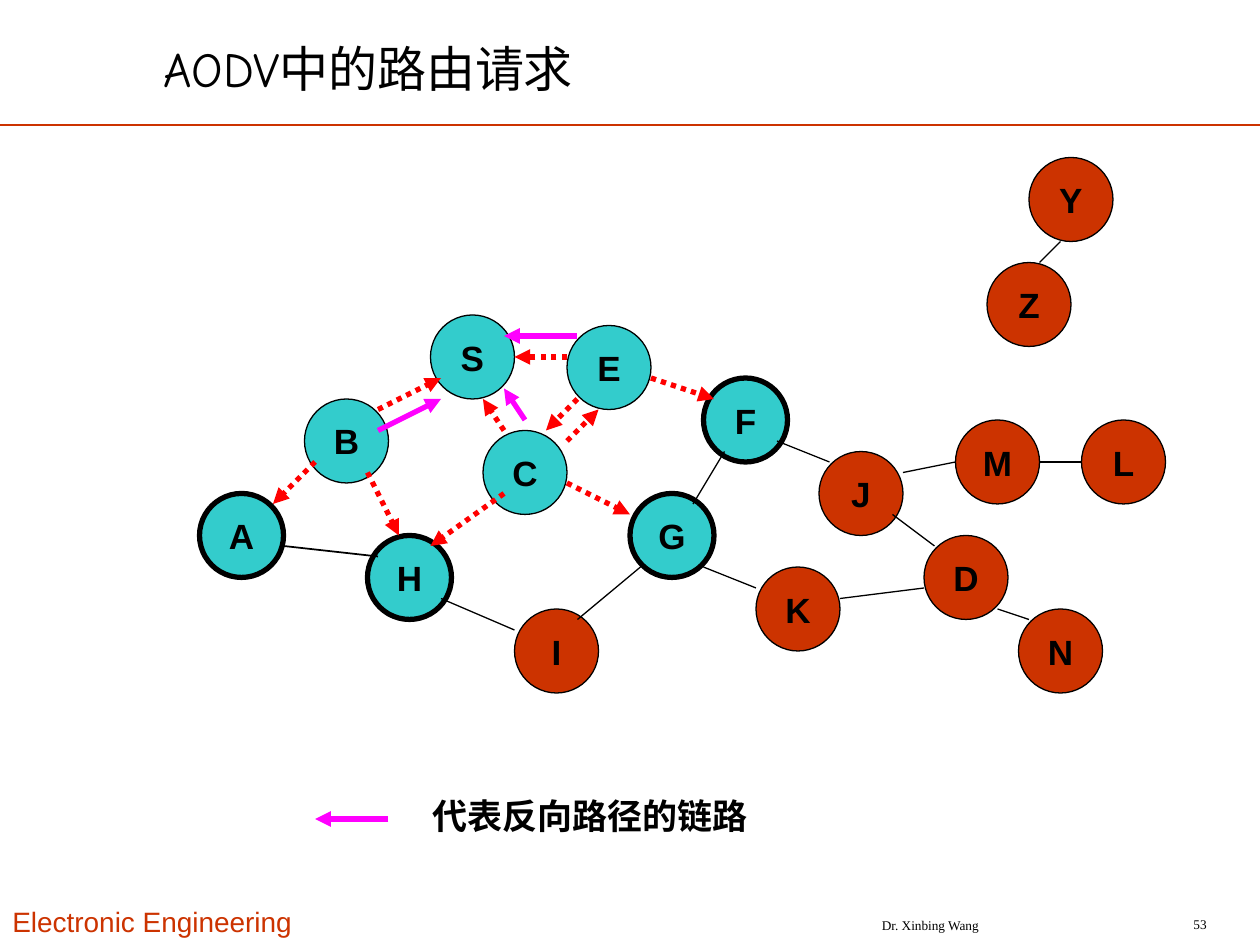
from dataclasses import dataclass

from lxml import etree
from pptx import Presentation
from pptx.dml.color import RGBColor
from pptx.enum.dml import MSO_LINE
from pptx.enum.shapes import MSO_CONNECTOR, MSO_SHAPE
from pptx.enum.text import MSO_ANCHOR, PP_ALIGN
from pptx.oxml.ns import qn
from pptx.util import Emu, Pt

EMU_PER_PX = 7620  # 120 px to the inch
BLANK_LAYOUT = 6
STRAIGHT = MSO_CONNECTOR.STRAIGHT
ELLIPSE = MSO_SHAPE.OVAL
DOTTED = MSO_LINE.ROUND_DOT
TOP, MIDDLE = MSO_ANCHOR.TOP, MSO_ANCHOR.MIDDLE
LEFT, CENTER, RIGHT = PP_ALIGN.LEFT, PP_ALIGN.CENTER, PP_ALIGN.RIGHT


@dataclass(frozen=True)
class Theme:
    text: str = "000000"
    accent: str = "CC3300"
    reached: str = "33CCCC"
    request: str = "FF0000"
    reverse: str = "FF00FF"
    title_font: str = "Comic Neue"
    body_font: str = "Arial"
    footer_font: str = "Times New Roman"
    title_size: float = 28
    label_size: float = 20
    brand_size: float = 16
    footer_size: float = 7.6
    thin: float = 0.75
    rule: float = 1.5
    thick: float = 3


def px(length):
    return Emu(length * EMU_PER_PX)


def rgb(color):
    return RGBColor.from_string(color)


class NetworkSlide:
    NODE_SIZE = 80

    def __init__(self, deck, theme):
        self.theme = theme
        self.page = deck.slides.add_slide(deck.slide_layouts[BLANK_LAYOUT])

    def label(self, shape, text, size, font, bold=False, align=LEFT,
              anchor=MIDDLE, wrap=True):
        frame = shape.text_frame
        frame.word_wrap = wrap
        frame.vertical_anchor = anchor
        para = frame.paragraphs[0]
        para.text = text
        para.alignment = align
        para.font.size = Pt(size)
        para.font.name = font
        para.font.bold = bold
        para.font.color.rgb = rgb(self.theme.text)
        return para

    def text(self, bounds, text, size, font, **style):
        box = self.page.shapes.add_textbox(*map(px, bounds))
        return self.label(box, text, size, font, **style)

    def node(self, name, left, top, fill, outline):
        size = px(self.NODE_SIZE)
        circle = self.page.shapes.add_shape(ELLIPSE, px(left), px(top), size, size)
        circle.shadow.inherit = False
        circle.fill.solid()
        circle.fill.fore_color.rgb = rgb(fill)
        circle.line.color.rgb = rgb(self.theme.text)
        circle.line.width = Pt(outline)
        self.label(circle, name, self.theme.label_size, self.theme.body_font,
                   bold=True, align=CENTER, wrap=False)

    def line(self, ends, color, width):
        link = self.page.shapes.add_connector(STRAIGHT, *map(px, ends))
        link.line.color.rgb = rgb(color)
        link.line.width = Pt(width)
        etree.SubElement(link._element.spPr, qn("a:effectLst"))
        return link

    def arrow(self, ends, color, dotted=False):
        link = self.line(ends, color, self.theme.thick)
        if dotted:
            link.line.dash_style = DOTTED
        outline = link._element.spPr.find(qn("a:ln"))
        etree.SubElement(outline, qn("a:tailEnd"), type="triangle")


# Node positions: left, top
REACHED = {"B": (290, 380), "S": (410, 300), "E": (540, 310), "C": (460, 410)}
FRONTIER = {"A": (190, 470), "F": (670, 360), "H": (350, 510), "G": (600, 470)}
UNREACHED = {
    "J": (780, 430), "D": (880, 510), "I": (490, 580), "K": (720, 540),
    "Z": (940, 250), "Y": (980, 150), "M": (910, 400), "N": (970, 580),
    "L": (1030, 400),
}

# Line ends: from x, from y, to x, to y
LINKS = [
    (690, 430, 660, 480),    # F-G
    (610, 540, 550, 590),    # G-I
    (420, 570, 490, 600),    # H-I
    (740, 420, 790, 440),    # F-J
    (670, 540, 720, 560),    # G-K
    (850, 490, 890, 520),    # J-D
    (880, 560, 800, 570),    # D-K
    (1010, 230, 990, 250),   # Y-Z
    (860, 450, 910, 440),    # J-M
    (950, 580, 980, 590),    # D-N
    (990, 440, 1030, 440),   # M-L
]
REQUESTS = [
    (300, 440, 260, 480),    # B to A
    (360, 390, 420, 360),    # B to S
    (350, 450, 380, 510),    # B to H
    (480, 470, 410, 520),    # C to H
    (550, 380, 520, 410),    # E to C
    (620, 360, 680, 380),    # E to F
    (540, 460, 600, 490),    # C to G
    (540, 340, 490, 340),    # E to S
    (480, 410, 460, 380),    # C to S
    (540, 420, 570, 390),    # C to E
]
REVERSE_PATHS = [
    (550, 320, 480, 320),    # E to S
    (500, 400, 480, 370),    # C to S
    (360, 410, 420, 380),    # B to S
    (370, 780, 300, 780),    # legend
]


def main():
    theme = Theme()
    deck = Presentation()
    deck.slide_width, deck.slide_height = px(1200), px(900)
    slide = NetworkSlide(deck, theme)

    # Header rule, footer and title
    slide.line((0, 119, 1200, 119), theme.accent, theme.rule)
    brand = slide.text((0, 856, 306, 44), "Electronic Engineering",
                       theme.brand_size, theme.body_font, anchor=TOP)
    brand.font.color.rgb = rgb(theme.accent)
    slide.text((740, 866, 292, 30), "Dr. Xinbing Wang",
               theme.footer_size, theme.footer_font, align=CENTER)
    slide.text((1061, 865, 100, 30), "53",
               theme.footer_size, theme.footer_font, align=RIGHT)
    slide.text((144, 24, 858, 82), "AODV中的路由请求",
               theme.title_size, theme.title_font)

    # Nodes
    for group, fill, outline in (
        (REACHED, theme.reached, theme.thin),
        (FRONTIER, theme.reached, theme.thick),
        (UNREACHED, theme.accent, theme.thin),
    ):
        for name, (left, top) in group.items():
            slide.node(name, left, top, fill, outline)

    # Links, route requests and reverse paths
    slide.line((270, 520, 360, 530), theme.text, 1)  # A-H
    for ends in LINKS:
        slide.line(ends, theme.text, theme.thin)
    for ends in REQUESTS:
        slide.arrow(ends, theme.request, dotted=True)
    for ends in REVERSE_PATHS:
        slide.arrow(ends, theme.reverse)

    # Legend
    slide.text((400, 750, 330, 53), "代表反向路径的链路",
               theme.label_size, theme.body_font, bold=True)

    deck.save("out.pptx")


if __name__ == "__main__":
    main()
